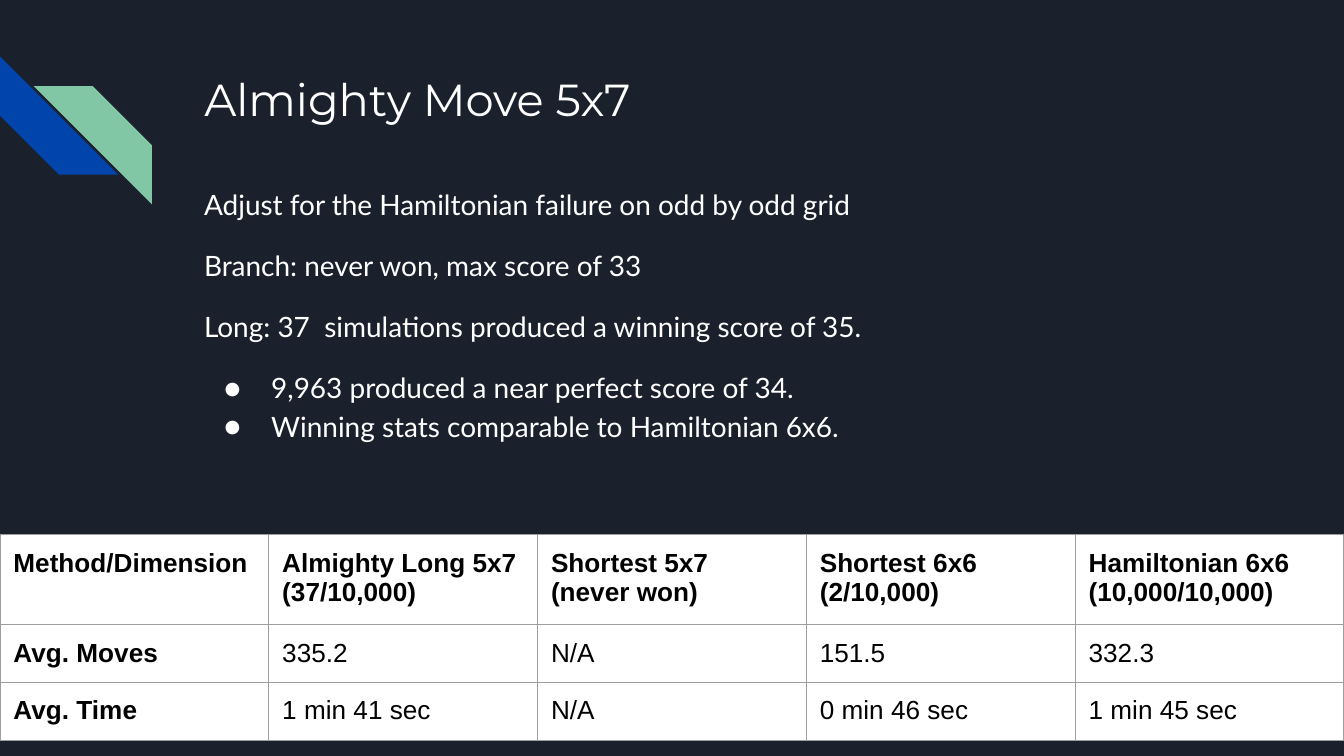
from lxml import etree
from pptx import Presentation
from pptx.dml.color import RGBColor
from pptx.enum import shapes, text
from pptx.oxml.ns import qn
from pptx.util import Inches, Pt

THEME = {
    "colors": {"background": "1B212C", "blue": "0145AC", "green": "82C7A5",
               "light": "FFFFFF", "dark": "000000", "border": "9E9E9E"},
    "title": {"name": "Montserrat", "size": Pt(24), "bold": False},
    "body": {"name": "Lato", "size": Pt(15), "bold": False},
    "table": {"name": "Arial", "size": Pt(14)},
}
SLIDE_WIDTH = Inches(10)
SLIDE_HEIGHT = SLIDE_WIDTH * 9 // 16

TITLE = "Almighty Move 5x7"
# (text, bulleted, points before)
BODY = [
    ("Adjust for the Hamiltonian failure on odd by odd grid", False, 0),
    ("Branch: never won, max score of 33", False, 12),
    ("Long: 37  simulations produced a winning score of 35.", False, 12),
    ("9,963 produced a near perfect score of 34.", True, 12),
    ("Winning stats comparable to Hamiltonian 6x6.", True, 0),
]
RESULTS = [
    ["Method/Dimension", "Almighty Long 5x7\n(37/10,000)", "Shortest 5x7\n(never won)",
     "Shortest 6x6\n(2/10,000)", "Hamiltonian 6x6\n(10,000/10,000)"],
    ["Avg. Moves", "335.2", "N/A", "151.5", "332.3"],
    ["Avg. Time", "1 min 41 sec", "N/A", "0 min 46 sec", "1 min 45 sec"],
]
ROW_HEIGHTS = [0.67, 0.43, 0.43]
# (colour, left, top, rotation, mirrored)
STRIPES = [("blue", 0, 0.42, 270, False), ("green", 0.25, 0.64, 0, True)]
STRIPE_SIZE = 0.88
MARGINS = {f"margin_{side}": Inches(0.1) for side in ("left", "top", "right", "bottom")}


def color(name):
    return RGBColor.from_string(THEME["colors"][name])


def apply(obj, values):
    for key, value in values.items():
        setattr(obj, key, value)


def style_font(p, style, color_name, **extra):
    for r in p.runs:
        apply(r.font, {**THEME[style], **extra})
        r.font.color.rgb = color(color_name)


def fill(obj, color_name):
    obj.fill.solid()
    obj.fill.fore_color.rgb = color(color_name)


def setup_frame(sp, left, top, width, height):
    apply(sp, {"left": Inches(left), "top": Inches(top),
               "width": Inches(width), "height": Inches(height)})
    tf = sp.text_frame
    apply(tf, {**MARGINS, "word_wrap": True, "auto_size": text.MSO_AUTO_SIZE.NONE,
               "vertical_anchor": text.MSO_ANCHOR.TOP})
    return tf


def add_bullet(p):
    pPr = p._p.get_or_add_pPr()
    pPr.set("marL", str(Inches(0.5)))
    pPr.set("indent", str(Inches(-0.35)))
    bullet_color = etree.SubElement(pPr, qn("a:buClr"))
    etree.SubElement(bullet_color, qn("a:srgbClr"), val=THEME["colors"]["light"])
    etree.SubElement(pPr, qn("a:buFont"), typeface=THEME["body"]["name"])
    etree.SubElement(pPr, qn("a:buChar"), char="●")


def add_borders(cell):
    """Outline a cell; the lines must precede its fill in the XML."""
    tcPr = cell._tc.get_or_add_tcPr()
    for i, side in enumerate(("lnL", "lnR", "lnT", "lnB")):
        ln = etree.Element(qn(f"a:{side}"), w=str(Pt(0.75)))
        solid = etree.SubElement(ln, qn("a:solidFill"))
        etree.SubElement(solid, qn("a:srgbClr"), val=THEME["colors"]["border"])
        tcPr.insert(i, ln)


def add_stripes(s):
    for name, left, top, rotation, mirrored in STRIPES:
        sp = s.shapes.add_shape(shapes.MSO_SHAPE.DIAGONAL_STRIPE, Inches(left), Inches(top),
                                Inches(STRIPE_SIZE), Inches(STRIPE_SIZE))
        sp.adjustments[0] = 0.5
        sp.rotation = rotation
        sp.shadow.inherit = False
        fill(sp, name)
        sp.line.fill.background()
        if mirrored:
            sp._element.spPr.find(qn("a:xfrm")).set("flipH", "1")


def add_title(s):
    tf = setup_frame(s.shapes.title, 1.42, 0.43, 7.7, 1)
    tf.text = TITLE
    p = tf.paragraphs[0]
    p.alignment = text.PP_ALIGN.LEFT
    style_font(p, "title", "light")


def add_body(s):
    tf = setup_frame(s.shapes.add_textbox(0, 0, 0, 0), 1.42, 1.26, 6.3, 2.39)
    tf.text = "\n".join(line for line, _, _ in BODY)
    for p, (_, bulleted, before) in zip(tf.paragraphs, BODY):
        apply(p, {"line_spacing": 1.15, "space_before": Pt(before)})
        style_font(p, "body", "light")
        if bulleted:
            add_bullet(p)


def add_results(s):
    table = s.shapes.add_table(len(RESULTS), len(RESULTS[0]), 0, Inches(3.98),
                               SLIDE_WIDTH, Inches(sum(ROW_HEIGHTS))).table
    for row, height in zip(table.rows, ROW_HEIGHTS):
        row.height = Inches(height)
    for i, values in enumerate(RESULTS):
        for j, value in enumerate(values):
            cell = table.cell(i, j)
            cell.text = value
            apply(cell, MARGINS)
            fill(cell, "light")
            add_borders(cell)
            for p in cell.text_frame.paragraphs:
                style_font(p, "table", "dark", bold=i == 0 or j == 0)


def main():
    prs = Presentation()
    apply(prs, {"slide_width": SLIDE_WIDTH, "slide_height": SLIDE_HEIGHT})
    s = prs.slides.add_slide(prs.slide_layouts[5])
    fill(s.background, "background")
    add_stripes(s)
    add_title(s)
    add_body(s)
    add_results(s)
    prs.save("out.pptx")


if __name__ == "__main__":
    main()
